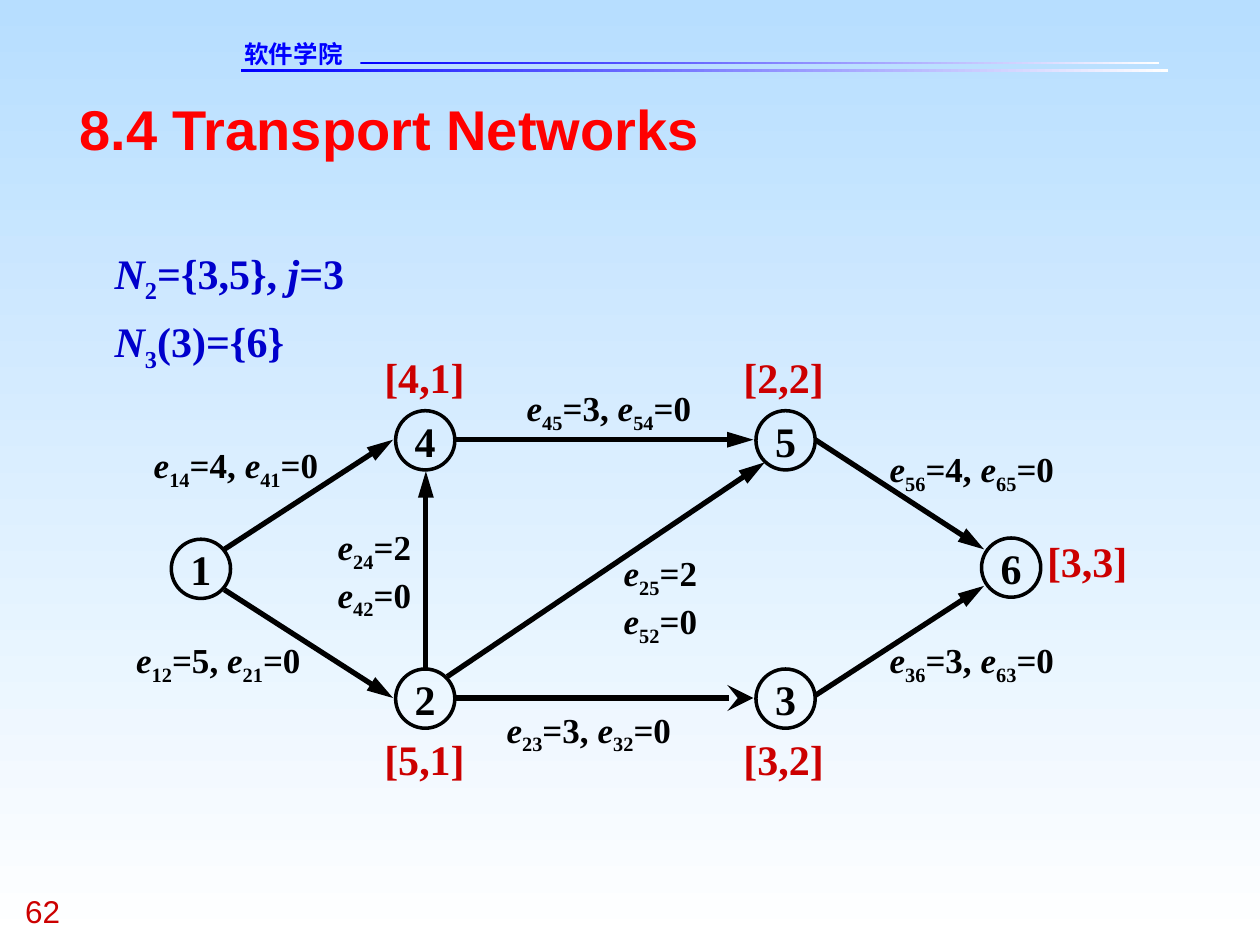
from lxml.etree import SubElement
from pptx import Presentation
from pptx.dml.color import RGBColor
from pptx.enum.shapes import MSO_CONNECTOR, MSO_SHAPE
from pptx.enum.text import MSO_ANCHOR as ANCHOR, PP_ALIGN as ALIGN
from pptx.oxml.ns import qn
from pptx.util import Inches, Pt

COLORS = {"sky": "B7DEFF", "white": "FFFFFF", "rule": "0000FF", "title": "FF0000",
          "label": "CC0000", "sets": "0000CC", "ink": "000000"}
SERIF, SANS = "Times New Roman", "Arial"
D = 0.47  # node diameter

# Node: left, top
NODES = {1: (1.36, 4.28), 2: (3.14, 5.31), 3: (6, 5.31),
         4: (3.14, 3.26), 5: (6, 3.26), 6: (7.79, 4.27)}
# Node label: text, left, top
NODE_LABELS = [("[4,1]", 3.05, 2.79), ("[5,1]", 3.05, 5.82), ("[2,2]", 5.9, 2.79),
               ("[3,2]", 5.9, 5.82), ("[3,3]", 8.31, 4.25)]
# Edge: from node, to node, capacity, label left, label top, label on two lines
EDGE_LABELS = [(1, 4, 4, 1.22, 3.52, False), (1, 2, 5, 1.08, 5.07, False),
               (2, 4, 2, 2.68, 4.17, True), (2, 5, 2, 4.95, 4.38, True),
               (2, 3, 3, 4.02, 5.62, False), (3, 6, 3, 7.06, 5.07, False),
               (5, 6, 4, 7.06, 3.55, False), (4, 5, 3, 4.18, 3.07, False)]
# Arrow: start, end, head type, head width
ARROWS = [((3.62, 3.49), (5.98, 3.49), "triangle", "med"),
          ((3.38, 5.31), (3.38, 3.74), "triangle", "med"),
          ((6.47, 5.52), (7.81, 4.65), "triangle", "med"),
          ((3.62, 5.54), (5.98, 5.54), "stealth", "lg"),
          ((6.47, 3.49), (7.81, 4.36), "triangle", "med"),
          ((3.55, 5.37), (6.07, 3.67), "triangle", "med"),
          ((1.78, 4.36), (3.12, 3.49), "triangle", "med"),
          ((1.78, 4.68), (3.12, 5.54), "triangle", "med")]
# Runs: text, style ("i" italic, "sub" subscript, "" plain)
SETS = [[("N", "i"), ("2", "sub"), ("={3,5},", ""), (" j", "i"), ("=3", "")],
        [("N", "i"), ("3", "sub"), ("(3)={6}", "")]]
RULES = [(1.91, 0.55, 7.36), (2.86, 0.49, 6.34)]  # left, top, width


def rgb(name):
    return RGBColor.from_string(COLORS[name])


def gradient(fill, first, last, angle):
    fill.gradient()
    fill.gradient_angle = angle
    for stop, name in zip(fill.gradient_stops, (first, last)):
        stop.color.rgb = rgb(name)


def write(sp, lines, font, size, color, bold=True, align=ALIGN.LEFT,
          anchor=ANCHOR.TOP, wrap=True, spacing=None):
    """Fill a shape with paragraphs, each a list of (text, style) runs."""
    tf = sp.text_frame
    tf.margin_left = tf.margin_right = tf.margin_top = tf.margin_bottom = 0
    tf.word_wrap, tf.vertical_anchor = wrap, anchor
    for n, runs in enumerate(lines):
        p = tf.add_paragraph() if n else tf.paragraphs[0]
        p.alignment = align
        if spacing:
            p.line_spacing = spacing
        p.font.name, p.font.size, p.font.bold = font, Pt(size), bold
        p.font.color.rgb = rgb(color)
        for text, style in runs:
            r = p.add_run()
            r.text = text
            if style == "i":
                r.font.italic = True
            elif style == "sub":
                r._r.get_or_add_rPr().set("baseline", "-25000")


def add_text(s, box, lines, *args, **kwargs):
    write(s.shapes.add_textbox(*map(Inches, box)), lines, *args, **kwargs)


def add_node(s, number, left, top):
    sp = s.shapes.add_shape(MSO_SHAPE.OVAL, *map(Inches, (left, top, D, D)))
    sp.shadow.inherit = False
    sp.fill.background()
    sp.line.color.rgb, sp.line.width = rgb("ink"), Pt(2)
    write(sp, [[(str(number), "")]], SERIF, 24, "ink",
          align=ALIGN.CENTER, anchor=ANCHOR.MIDDLE, wrap=False)


def add_arrow(s, start, end, head, width):
    line = s.shapes.add_connector(MSO_CONNECTOR.STRAIGHT, *map(Inches, start + end))
    line.line.color.rgb, line.line.width = rgb("ink"), Pt(3)
    SubElement(line.line._get_or_add_ln(), qn("a:tailEnd"), type=head, w=width, len="lg")
    SubElement(line._element.spPr, qn("a:effectLst"))


def edge_lines(i, j, capacity, stacked):
    there = [("e", "i"), (f"{i}{j}", "sub")]
    back = [("e", "i"), (f"{j}{i}", "sub"), ("=0", "")]
    if stacked:
        return [there + [(f"={capacity}", "")], back]
    return [there + [(f"={capacity}, ", "")] + back]


def main():
    prs = Presentation()
    prs.slide_width, prs.slide_height = Inches(10), Inches(7.5)
    s = prs.slides.add_slide(prs.slide_layouts[5])
    gradient(s.background.fill, "sky", "white", 270)

    for left, top, width in RULES:
        sp = s.shapes.add_shape(MSO_SHAPE.RECTANGLE, *map(Inches, (left, top, width, 0.02)))
        sp.shadow.inherit = False
        sp.line.fill.background()
        gradient(sp.fill, "rule", "white", 0)
    add_text(s, (1.94, 0.31, 1.45, 0.23), [[("软件学院", "")]], "DejaVu Sans", 14, "rule")
    add_text(s, (0.2, 7.08, 0.75, 0.3), [[("62", "")]], SANS, 18, "label", bold=False)

    title = s.shapes.title
    title.left, title.top, title.width, title.height = map(Inches, (0.63, 0.75, 8.75, 0.53))
    write(title, [[("8.4 Transport Networks", "")]], SANS, 32, "title")
    add_text(s, (0.91, 1.87, 1.84, 1.09), SETS, SERIF, 24, "sets", spacing=1.2)

    for i, j, capacity, left, top, stacked in EDGE_LABELS:
        size = (0.76, 0.76) if stacked else (1.49, 0.38)
        add_text(s, (left, top, *size), edge_lines(i, j, capacity, stacked), SERIF, 20, "ink")
    for number, (left, top) in NODES.items():
        add_node(s, number, left, top)
    for arrow in ARROWS:
        add_arrow(s, *arrow)
    for text, left, top in NODE_LABELS:
        add_text(s, (left, top, 0.64, 0.4), [[(text, "")]], SERIF, 24, "label", wrap=False)

    prs.save("out.pptx")


if __name__ == "__main__":
    main()
